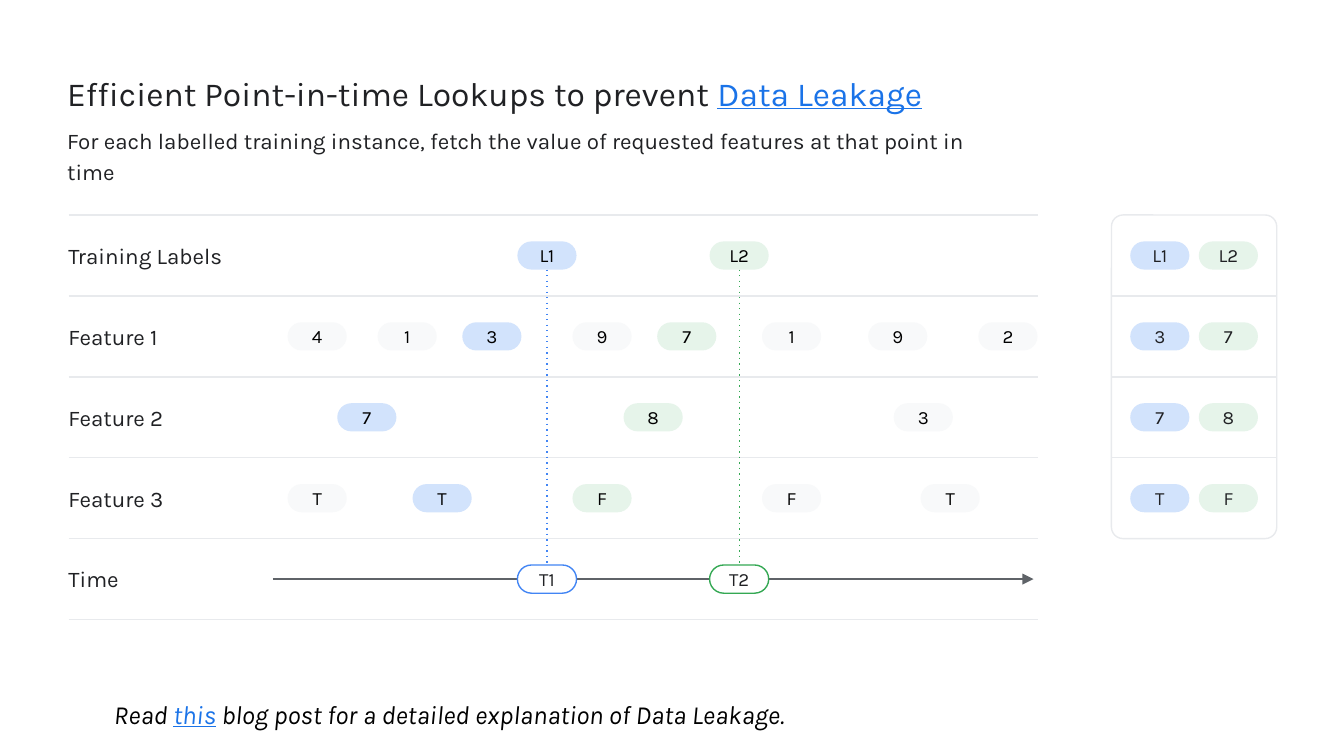
"""Build the slide on point-in-time feature lookups."""
from lxml import etree
from pptx import Presentation
from pptx import util as u
from pptx.dml import color
from pptx.enum import shapes, text
from pptx.oxml import ns

FONT = "Karla"
INK, BLACK, LINK = "202124", "000000", "1A73E8"
RULE, AXIS, WHITE = "E8EAED", "5F6368", "FFFFFF"
BLUE, GREEN, GREY = "D2E3FC", "E6F4EA", "F8F9FA"
BLUE_LINE, GREEN_LINE = "4285F4", "34A853"

SLIDE_WIDTH = u.Inches(10)
SLIDE_HEIGHT = SLIDE_WIDTH * 9 // 16
LEFT, RIGHT = 0.51, 7.72
TOP, BOTTOM = 1.6, 4.61
ROW_LABELS = ["Training Labels", "Feature 1", "Feature 2", "Feature 3", "Time"]
ROW_HEIGHT = (BOTTOM - TOP) / len(ROW_LABELS)
PILL_WIDTH, PILL_HEIGHT = 0.44, 0.21
CARD_LEFT, CARD_WIDTH = 8.27, 1.23
CARD_COLUMNS = [(8.41, BLUE), (8.92, GREEN)]
CARD_ROWS = [("L1", "L2"), ("3", "7"), ("7", "8"), ("T", "F")]
T1_LEFT, T2_LEFT = 3.85, 5.28

FEATURE_PILLS = {
    1: [(2.14, "4", GREY), (2.81, "1", GREY), (3.44, "3", BLUE), (4.26, "9", GREY),
        (4.89, "7", GREEN), (5.67, "1", GREY), (6.46, "9", GREY), (7.28, "2", GREY)],
    2: [(2.51, "7", BLUE), (4.64, "8", GREEN), (6.65, "3", GREY)],
    3: [(2.14, "T", GREY), (3.07, "T", BLUE), (4.26, "F", GREEN),
        (5.67, "F", GREY), (6.85, "T", GREY)],
}
EVENTS = [(T1_LEFT, "L1", "T1", BLUE, BLUE_LINE), (T2_LEFT, "L2", "T2", GREEN, GREEN_LINE)]


def rgb(value):
    """Return a colour from a hex string."""
    return color.RGBColor.from_string(value)


def row_top(row):
    """Return the top of a grid row in inches."""
    return TOP + row * ROW_HEIGHT


def apply(target, formats):
    """Set each format value as an attribute of the target."""
    for name, value in formats.items():
        setattr(target, name, value)


def set_frame(shape, insets, anchor=text.MSO_ANCHOR.TOP):
    """Set wrapping, anchor and insets (left, top, right, bottom) and return the frame."""
    sides = ("margin_left", "margin_top", "margin_right", "margin_bottom")
    formats = {side: u.Inches(inset) for side, inset in zip(sides, insets)}
    apply(shape.text_frame, {"word_wrap": True, "vertical_anchor": anchor, **formats})
    return shape.text_frame


def write_runs(paragraph, size, runs, **formats):
    """Add runs given as (text, colour) pairs, underlining those in the link colour."""
    for words, ink in runs:
        run = paragraph.add_run()
        run.text = words
        apply(run.font, {"name": FONT, "size": u.Pt(size), "underline": ink == LINK, **formats})
        run.font.color.rgb = rgb(ink)


def add_text_box(slide, box, insets, anchor=text.MSO_ANCHOR.TOP):
    """Add a wrapping text box and return its frame."""
    return set_frame(slide.shapes.add_textbox(*map(u.Inches, box)), insets, anchor)


def add_rounded(container, box, radius, fill=None, outline=None):
    """Add a rounded rectangle with an optional fill and outline."""
    shape = container.add_shape(shapes.MSO_SHAPE.ROUNDED_RECTANGLE, *map(u.Inches, box))
    shape.adjustments[0] = radius
    shape.shadow.inherit = False
    if fill:
        shape.fill.solid()
        shape.fill.fore_color.rgb = rgb(fill)
    else:
        shape.fill.background()
    if outline:
        shape.line.color.rgb = rgb(outline)
        shape.line.width = u.Pt(0.75)
    else:
        shape.line.fill.background()
    return shape


def add_pill(container, left, row, label, fill, outline=None, ink=BLACK):
    """Add a pill holding one value, centred in a grid row."""
    top = row_top(row) + (ROW_HEIGHT - PILL_HEIGHT) / 2
    shape = add_rounded(container, (left, top, PILL_WIDTH, PILL_HEIGHT), 0.5, fill, outline)
    frame = set_frame(shape, (0, 0.1, 0, 0.1), text.MSO_ANCHOR.MIDDLE)
    frame.paragraphs[0].alignment = text.PP_ALIGN.CENTER
    write_runs(frame.paragraphs[0], 10, [(label, ink)])
    return shape


def add_line(container, start, end, ink, **extras):
    """Add a thin line; extras map a line element's tag to its preset value."""
    line = container.add_connector(shapes.MSO_CONNECTOR.STRAIGHT, *map(u.Inches, start + end))
    line.line.color.rgb = rgb(ink)
    line.line.width = u.Pt(0.75)
    properties = line.line._get_or_add_ln()
    for tag, value in extras.items():
        key = "val" if tag == "prstDash" else "type"
        etree.SubElement(properties, ns.qn(f"a:{tag}")).set(key, value)
    etree.SubElement(line._element.spPr, ns.qn("a:effectLst"))
    return line


def add_heading(slide):
    """Add the title and the subtitle below it."""
    frame = add_text_box(slide, (0.5, 0.5, 7.16, 0.44), (0, 0, 0.1, 0))
    title, subtitle = frame.paragraphs[0], frame.add_paragraph()
    write_runs(title, 18, [("Efficient Point-in-time Lookups to prevent ", INK),
                           ("Data Leakage", LINK)])
    write_runs(subtitle, 12, [("For each labelled training instance, fetch the value of "
                               "requested features at that point in time", INK)])
    title.line_spacing = 1.15
    apply(subtitle, {"line_spacing": 1.15, "space_before": u.Pt(5)})


def add_timeline(slide):
    """Add the row labels, rules, time axis, feature values and label events."""
    for row, label in enumerate(ROW_LABELS):
        frame = add_text_box(slide, (LEFT, row_top(row) + 0.11, 1.4, 0.38), (0, 0, 0, 0),
                             text.MSO_ANCHOR.MIDDLE)
        write_runs(frame.paragraphs[0], 12, [(label, INK)])
    for row in range(len(ROW_LABELS) + 1):
        add_line(slide.shapes, (LEFT, row_top(row)), (RIGHT, row_top(row)), RULE)
    axis = row_top(4.5)
    add_line(slide.shapes, (2.03, axis), (7.69, axis), AXIS, tailEnd="triangle")
    for row, pills in FEATURE_PILLS.items():
        for left, label, fill in pills:
            add_pill(slide.shapes, left, row, label, fill)
    for left, label, moment, fill, outline in EVENTS:
        label_pill = add_pill(slide.shapes, left, 0, label, fill)
        time_pill = add_pill(slide.shapes, left, 4, moment, WHITE, outline, INK)
        middle = left + PILL_WIDTH / 2
        line = add_line(slide.shapes, (middle, row_top(0.5)), (middle, axis), outline,
                        prstDash="dot")
        line.begin_connect(label_pill, 2)
        line.end_connect(time_pill, 0)


def add_result_card(slide):
    """Add the card of joined training rows, with its pills and rules grouped."""
    height = len(CARD_ROWS) * ROW_HEIGHT
    add_rounded(slide.shapes, (CARD_LEFT, TOP, CARD_WIDTH, height), 0.07, outline=RULE)
    pills = slide.shapes.add_group_shape().shapes
    for row, values in enumerate(CARD_ROWS):
        for (left, fill), value in zip(CARD_COLUMNS, values):
            add_pill(pills, left, row, value, fill, ink=INK)
    rules = slide.shapes.add_group_shape().shapes
    for row in range(1, len(CARD_ROWS)):
        top = row_top(row)
        add_line(rules, (CARD_LEFT, top), (CARD_LEFT + CARD_WIDTH, top), RULE)


def add_footnote(slide):
    """Add the italic pointer to further reading."""
    frame = add_text_box(slide, (0.75, 5.1, 7.1, 0.44), (0.1, 0.1, 0.1, 0.1))
    write_runs(frame.paragraphs[0], 14, [
        ("Read ", BLACK), ("this", LINK),
        (" blog post for a detailed explanation of Data Leakage.", BLACK)], italic=True)


def main():
    """Build and save the presentation."""
    presentation = Presentation()
    apply(presentation, {"slide_width": SLIDE_WIDTH, "slide_height": SLIDE_HEIGHT})
    slide = presentation.slides.add_slide(presentation.slide_layouts[6])
    add_heading(slide)
    add_timeline(slide)
    add_result_card(slide)
    add_footnote(slide)
    presentation.save("out.pptx")


if __name__ == "__main__":
    main()
